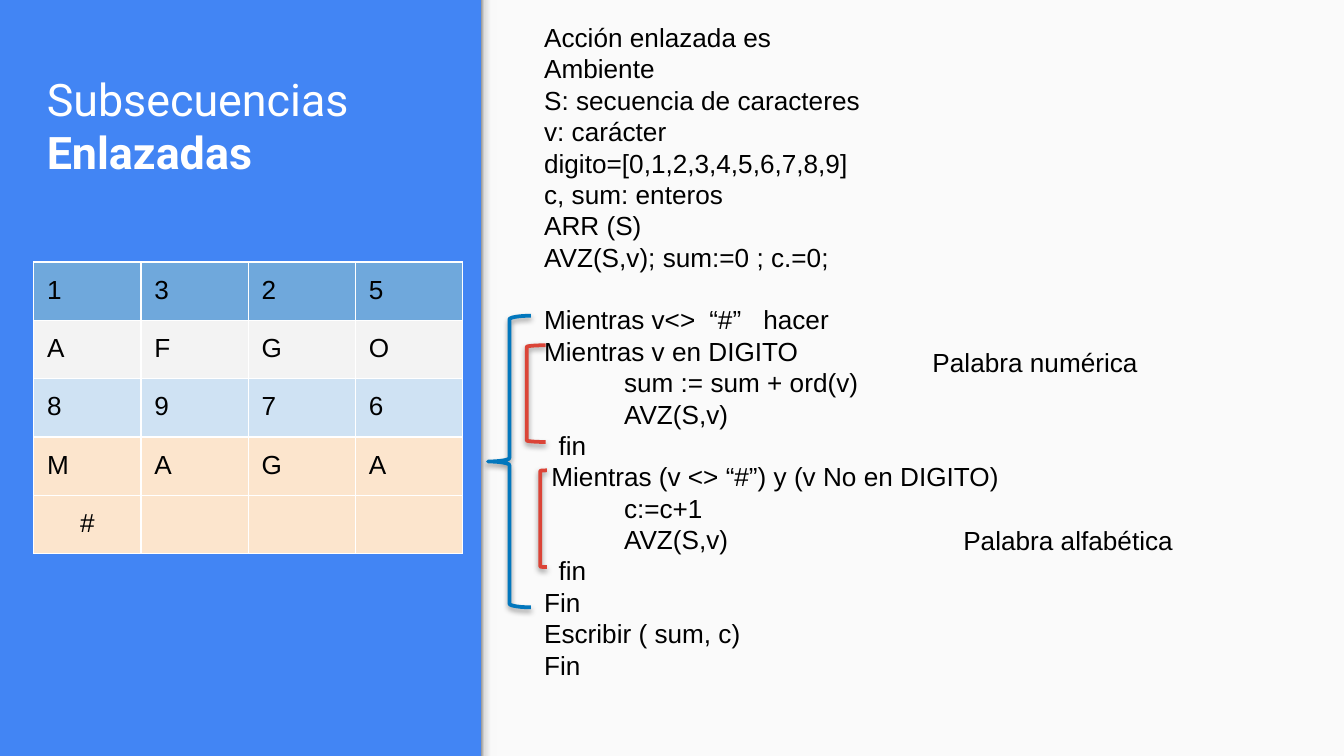
from lxml import etree
from pptx import Presentation
from pptx.dml.color import RGBColor
from pptx.enum.shapes import MSO_SHAPE
from pptx.enum.text import MSO_ANCHOR, PP_ALIGN
from pptx.oxml.ns import qn
from pptx.util import Pt

RECTANGLE = MSO_SHAPE.RECTANGLE
BRACE, BRACKET = MSO_SHAPE.LEFT_BRACE, MSO_SHAPE.LEFT_BRACKET
BOTTOM, CENTER = MSO_ANCHOR.BOTTOM, PP_ALIGN.CENTER

BLUE = RGBColor(0x42, 0x85, 0xF4)
PAPER = RGBColor(0xFA, 0xFA, 0xFA)
WHITE = RGBColor(0xFF, 0xFF, 0xFF)
BLACK = RGBColor(0x00, 0x00, 0x00)
OUTER_BLUE = RGBColor(0x02, 0x77, 0xBD)
INNER_RED = RGBColor(0xDB, 0x44, 0x37)
SKY = RGBColor(0x6F, 0xA8, 0xDC)
GREY = RGBColor(0xF3, 0xF3, 0xF3)
PALE_BLUE = RGBColor(0xCF, 0xE2, 0xF3)
PEACH = RGBColor(0xFC, 0xE5, 0xCD)

# Content
TITLE = [("Subsecuencias ", False), ("Enlazadas", True)]
SEQUENCE = [
    ("1325", SKY),
    ("AFGO", GREY),
    ("8976", PALE_BLUE),
    ("MAGA", PEACH),
    ("#", PEACH),
]
# Each line of code: indent in space widths, text
CODE = [
    (0, "Acción enlazada es"),
    (0, "Ambiente"),
    (0, "S: secuencia de caracteres"),
    (0, "v: carácter"),
    (0, "digito=[0,1,2,3,4,5,6,7,8,9]"),
    (0, "c, sum: enteros"),
    (0, "ARR (S)"),
    (0, "AVZ(S,v); sum:=0 ; c.=0;"),
    (0, "Mientras v<>\t“#”\thacer"),
    (0, "Mientras v en DIGITO"),
    (11, "sum := sum + ord(v)"),
    (11, "AVZ(S,v)"),
    (2, "fin"),
    (1, "Mientras (v <> “#”) y (v No en DIGITO)"),
    (11, "c:=c+1"),
    (11, "AVZ(S,v)"),
    (2, "fin"),
    (0, "Fin"),
    (0, "Escribir ( sum, c)"),
    (0, "Fin"),
]
LOOP_START = 8
LOOP_TABS = (88.5, 117.4)
NOTES = [
    ("Palabra numérica", 492.5, 182.2, 125.3),
    ("Palabra alfabética", 509, 277.2, 127.4),
]
BRACES = [
    (BRACE, OUTER_BLUE, 261.4, 169.2, 23, 156.2),
    (BRACKET, INNER_RED, 282.2, 185, 10.1, 51.8),
    (BRACKET, INNER_RED, 289.4, 252, 3.6, 51.8),
]
EDGE_STOPS = [(0, "999999"), (20, "DEDEDE"), (64, "F9F9F9"), (100, "F9F9F9")]

# Measures
WIDTH, HEIGHT = 720, 405
PANEL_LEFT = 257.8
EDGE_WIDTH = 8.6
TEXT_SIZE, LINE_HEIGHT, SPACE_WIDTH = 14, 16.8, 3.89
TABLE_LEFT, TABLE_TOP, COLUMN_WIDTH, ROW_HEIGHT = 18, 140.4, 57.5, 30.1
PADDING = 7.2


def style_run(run, size=TEXT_SIZE, name="Arial", color=BLACK, bold=False):
    run.font.size = Pt(size)
    run.font.name = name
    run.font.color.rgb = color
    run.font.bold = bold


def add_panel(slide, left, width):
    shape = slide.shapes.add_shape(RECTANGLE, Pt(left), 0, Pt(width), Pt(HEIGHT))
    shape.shadow.inherit = False
    shape.line.fill.background()
    return shape


def add_text(slide, left, top, width, height, lines, wrap=True):
    box = slide.shapes.add_textbox(Pt(left), Pt(top), Pt(width), Pt(height))
    frame = box.text_frame
    frame.word_wrap = wrap
    frame.text = "\n".join(lines)
    for paragraph in frame.paragraphs:
        for run in paragraph.runs:
            style_run(run)
    return frame


def set_gradient(shape, stops):
    shape.fill.gradient()
    shape.fill.gradient_angle = 0
    stop_list = shape.fill._xPr.find(qn("a:gradFill")).find(qn("a:gsLst"))
    for stop in list(stop_list):
        stop_list.remove(stop)
    for position, color in stops:
        stop = etree.SubElement(stop_list, qn("a:gs"), pos=str(position * 1000))
        etree.SubElement(stop, qn("a:srgbClr"), val=color)


def add_soft_shadow(shape):
    shape.shadow.inherit = False
    effects = shape._element.spPr.find(qn("a:effectLst"))
    shadow = etree.SubElement(effects, qn("a:outerShdw"), blurRad=str(Pt(3.1)),
                              dist=str(Pt(1.6)), dir="5400000", rotWithShape="0")
    color = etree.SubElement(shadow, qn("a:srgbClr"), val="000000")
    etree.SubElement(color, qn("a:alpha"), val="38000")


def set_borders(cell):
    properties = cell._tc.get_or_add_tcPr()
    for index, side in enumerate(("a:lnL", "a:lnR", "a:lnT", "a:lnB")):
        line = etree.Element(qn(side), w=str(Pt(0.75)))
        fill = etree.SubElement(line, qn("a:solidFill"))
        etree.SubElement(fill, qn("a:srgbClr"), val=str(WHITE))
        properties.insert(index, line)


presentation = Presentation()
presentation.slide_width, presentation.slide_height = Pt(WIDTH), Pt(HEIGHT)
slide = presentation.slides.add_slide(presentation.slide_layouts[6])
slide.background.fill.solid()
slide.background.fill.fore_color.rgb = BLUE

# Right panel and its shaded edge
panel = add_panel(slide, PANEL_LEFT, WIDTH - PANEL_LEFT)
panel.fill.solid()
panel.fill.fore_color.rgb = PAPER
set_gradient(add_panel(slide, PANEL_LEFT, EDGE_WIDTH), EDGE_STOPS)

# Title
title = add_text(slide, 18, 28.1, 221, 74.9, [""])
title.vertical_anchor = BOTTOM
title.margin_left = title.margin_right = Pt(PADDING)
title.margin_top = title.margin_bottom = Pt(PADDING)
for text, bold in TITLE:
    run = title.paragraphs[0].add_run()
    run.text = text
    style_run(run, 24, "Roboto", WHITE, bold)

# Character sequence table
columns = len(SEQUENCE[0][0])
table = slide.shapes.add_table(
    len(SEQUENCE), columns, Pt(TABLE_LEFT), Pt(TABLE_TOP),
    Pt(columns * COLUMN_WIDTH), Pt(len(SEQUENCE) * ROW_HEIGHT)).table
for column in table.columns:
    column.width = Pt(COLUMN_WIDTH)
for row_index, (characters, color) in enumerate(SEQUENCE):
    table.rows[row_index].height = Pt(ROW_HEIGHT)
    for column_index in range(columns):
        cell = table.cell(row_index, column_index)
        cell.margin_left = cell.margin_right = Pt(PADDING)
        cell.margin_top = cell.margin_bottom = Pt(PADDING)
        cell.fill.solid()
        cell.fill.fore_color.rgb = color
        set_borders(cell)
        paragraph = cell.text_frame.paragraphs[0]
        if column_index < len(characters):
            paragraph.text = characters[column_index]
            style_run(paragraph.runs[0])
        else:
            etree.SubElement(paragraph._p, qn("a:endParaRPr"), sz=str(TEXT_SIZE * 100))
        if characters == "#":
            paragraph.alignment = CENTER

# Algorithm
code = add_text(slide, 284.4, 7.9, 346.3, 363.6, [text for indent, text in CODE])
for paragraph, (indent, text) in zip(code.paragraphs, CODE):
    paragraph.line_spacing = Pt(LINE_HEIGHT)
    paragraph._p.get_or_add_pPr().set("marL", str(Pt(indent * SPACE_WIDTH)))
loop = code.paragraphs[LOOP_START]
loop.space_before = Pt(LINE_HEIGHT)
tabs = etree.SubElement(loop._p.get_or_add_pPr(), qn("a:tabLst"))
for position in LOOP_TABS:
    etree.SubElement(tabs, qn("a:tab"), pos=str(Pt(position)), algn="l")

# Braces around the loops
for kind, color, left, top, width, height in BRACES:
    brace = slide.shapes.add_shape(kind, Pt(left), Pt(top), Pt(width), Pt(height))
    brace.fill.background()
    brace.line.color.rgb = color
    brace.line.width = Pt(2)
    add_soft_shadow(brace)

# Notes beside the inner loops
for text, left, top, width in NOTES:
    add_text(slide, left, top, width, 24.5, [text], wrap=False)

presentation.save("out.pptx")
